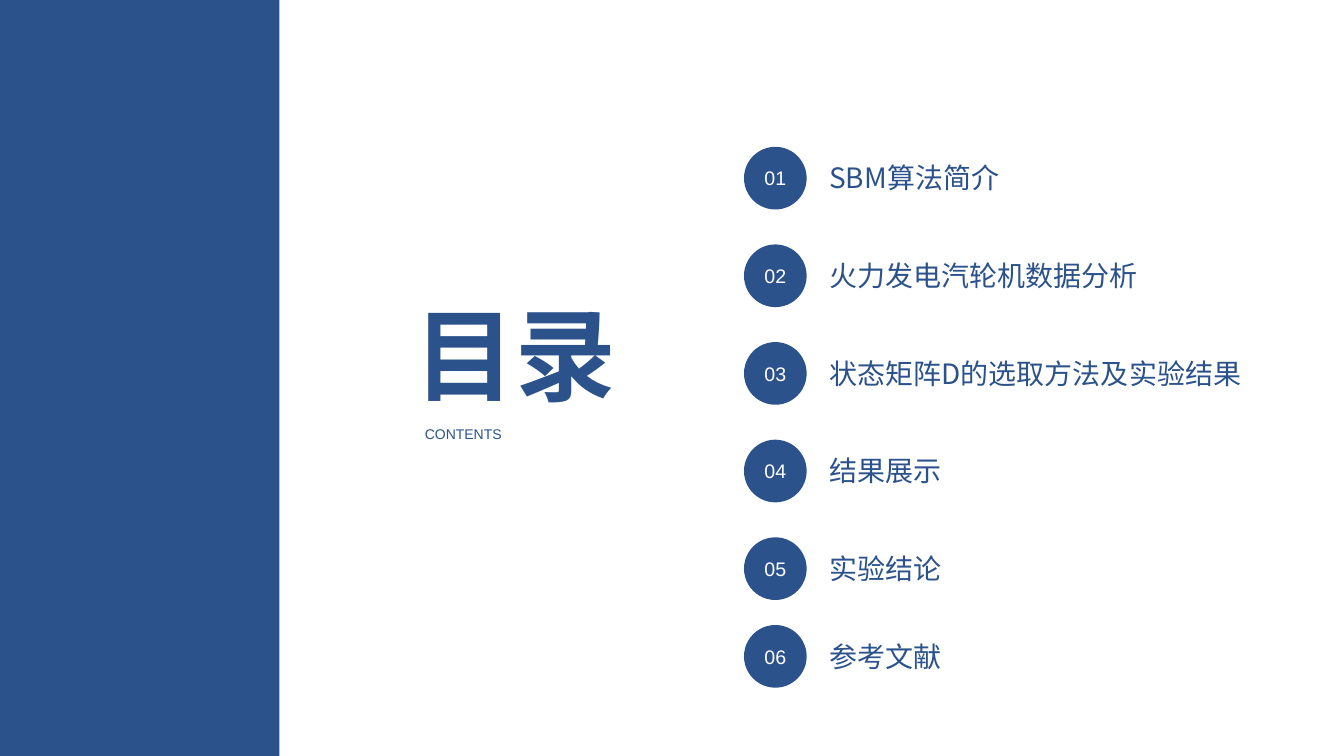
from lxml.etree import SubElement
from pptx import Presentation
from pptx.dml.color import RGBColor
from pptx.enum.shapes import MSO_SHAPE
from pptx.enum.text import MSO_ANCHOR, MSO_AUTO_SIZE, PP_ALIGN
from pptx.oxml.ns import qn
from pptx.util import Cm, Pt

COLORS = {"blue": "2B528B", "white": "FFFFFF"}
CJK_FONT = "Noto Sans CJK SC"
FORMATS = {
    "title": {"name": "Arial", "size": Pt(72), "bold": True},
    "subtitle": {"name": "Arial", "size": Pt(10)},
    "number": {"name": "Arial", "size": Pt(14)},
    "topic": {"name": CJK_FONT, "size": Pt(20)},
}

# Each topic: its words, its top within the list and its text width, in cm
ROW_PITCH = 2.46
TOPIC_WIDTH = 11.13
TOPICS = [
    ("SBM算法简介", 0, 6.99),
    ("火力发电汽轮机数据分析", ROW_PITCH, TOPIC_WIDTH),
    ("状态矩阵D的选取方法及实验结果", 2 * ROW_PITCH, TOPIC_WIDTH),
    ("结果展示", 3 * ROW_PITCH, TOPIC_WIDTH),
    ("实验结论", 4 * ROW_PITCH, TOPIC_WIDTH),
    ("参考文献", 12.05, TOPIC_WIDTH),
]


def write(frame, text, style, color, align):
    para = frame.paragraphs[0]
    para.alignment = align
    span = para.add_run()
    span.text = text
    for attribute, value in FORMATS[style].items():
        setattr(span.font, attribute, value)
    span.font.color.rgb = RGBColor.from_string(COLORS[color])
    SubElement(span._r.get_or_add_rPr(), qn("a:ea"), typeface=CJK_FONT)


def add_text(page, box, text, style, align=PP_ALIGN.LEFT):
    frame = page.shapes.add_textbox(*map(Cm, box)).text_frame
    frame.word_wrap = True
    frame.auto_size = MSO_AUTO_SIZE.SHAPE_TO_FIT_TEXT
    write(frame, text, style, "blue", align)


def add_blue_shape(page, kind, box):
    shape = page.shapes.add_shape(kind, *map(Cm, box))
    shape.shadow.inherit = False
    shape.fill.solid()
    shape.fill.fore_color.rgb = RGBColor.from_string(COLORS["blue"])
    shape.line.fill.background()
    return shape


def add_heading(page, box):
    left, top, width, height = box
    add_text(page, (left, top, width, 3.33), "目录", "title", PP_ALIGN.CENTER)
    add_text(page, (left + 0.88, top + height - 0.69, 5.08, 0.69),
             "CONTENTS", "subtitle", PP_ALIGN.JUSTIFY)


def add_topic(page, box, number, topic):
    """Place a numbered circle, as tall as the box, with its topic beside it."""
    left, top, width, height = box
    circle = add_blue_shape(page, MSO_SHAPE.OVAL, (left, top, height, height))
    frame = circle.text_frame
    frame.margin_left = frame.margin_right = 0
    frame.vertical_anchor = MSO_ANCHOR.MIDDLE
    write(frame, f"{number:02}", "number", "white", PP_ALIGN.CENTER)
    indent = 1.9
    add_text(page, (left + indent, top + 0.23, width - indent, 1.11),
             topic, "topic")


def add_topic_list(page, left, top):
    for number, (topic, offset, text_width) in enumerate(TOPICS, start=1):
        add_topic(page, (left, top + offset, text_width + 1.9, 1.58),
                  number, topic)


def main():
    deck = Presentation()
    deck.slide_width, deck.slide_height = Cm(33.87), Cm(19.05)
    page = deck.slides.add_slide(deck.slide_layouts[6])
    add_blue_shape(page, MSO_SHAPE.RECTANGLE, (-0.05, 0, 7.09, 19.05))
    add_heading(page, (9.58, 7.24, 6.81, 4.04))
    add_topic_list(page, 18.75, 3.7)
    deck.save("out.pptx")


if __name__ == "__main__":
    main()
